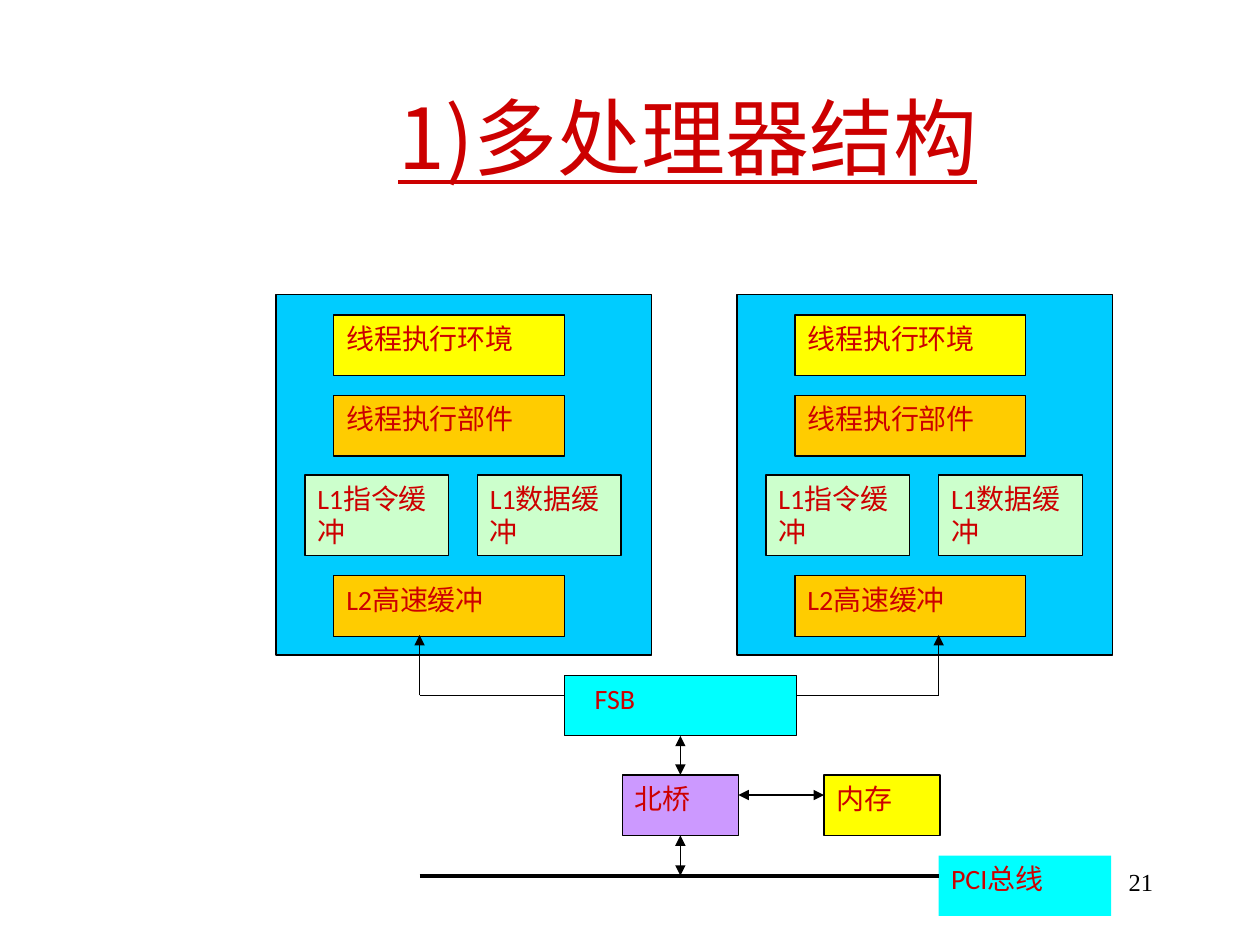
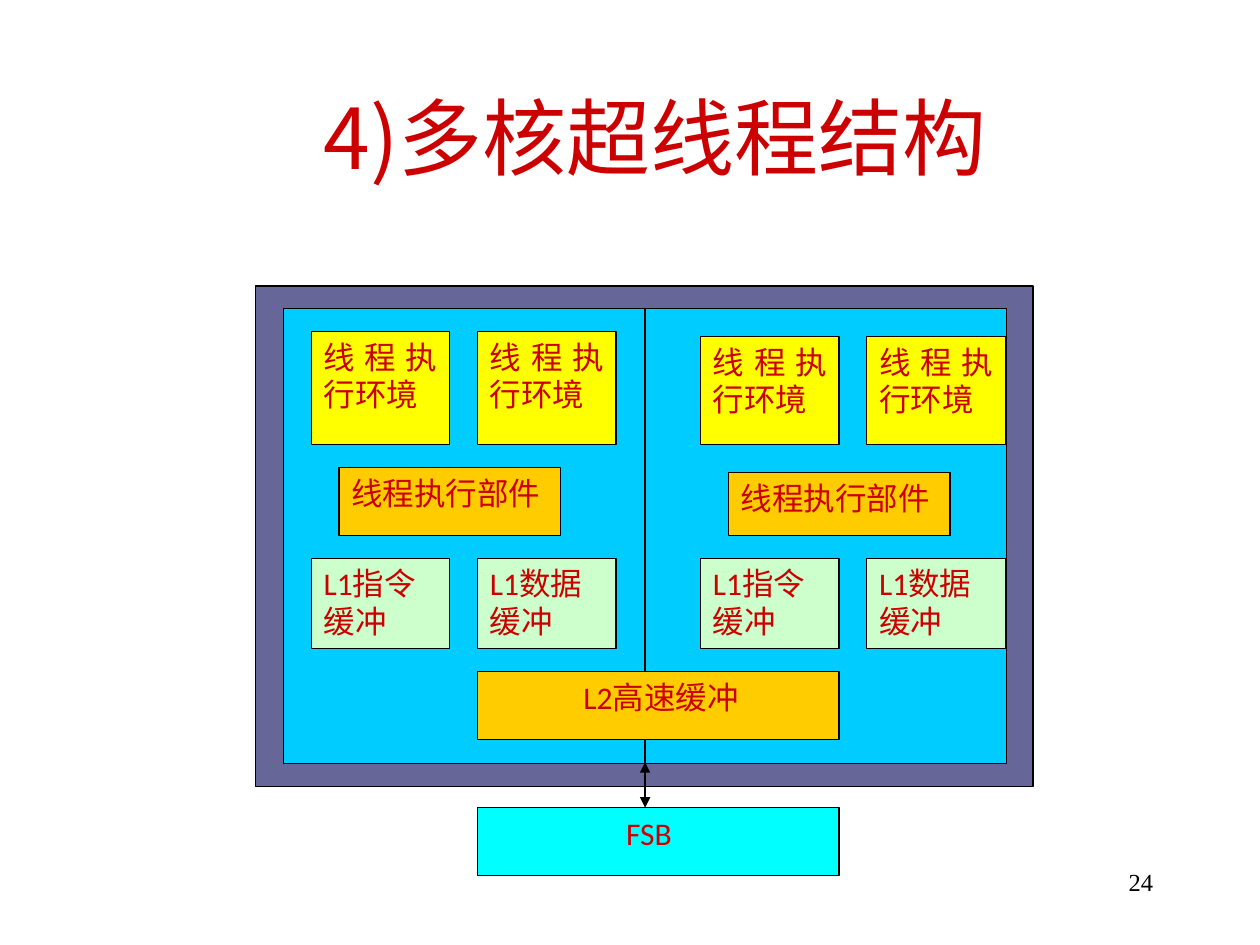
from lxml import etree
from pptx import Presentation
from pptx.dml.color import RGBColor
from pptx.enum import shapes, text
from pptx.oxml.ns import qn
from pptx.util import Inches, Pt

HUE = {"red": "CC0000", "black": "000000", "sky": "00CCFF", "yellow": "FFFF00",
       "gold": "FFCC00", "mint": "CCFFCC", "aqua": "00FFFF", "lilac": "CC99FF",
       "slate": "666699"}
HAN = "Noto Sans CJK JP"
ALIGN = text.PP_ALIGN


def write(shape, words, size, align, font="Calibri", ink="red", pad=0.0):
    """Fill a shape with one top-anchored paragraph; pad shifts it right."""
    frame = shape.text_frame
    frame.word_wrap = True
    frame.auto_size = text.MSO_AUTO_SIZE.NONE
    frame.vertical_anchor = text.MSO_ANCHOR.TOP
    frame.margin_left = Inches(0.1 + pad)
    frame.text = words
    para = frame.paragraphs[0]
    para.alignment = align
    run = para.runs[0]
    run.font.size = Pt(size)
    run.font.name = font
    run.font.color.rgb = RGBColor.from_string(HUE[ink])
    etree.SubElement(run.font._element, qn("a:ea"), typeface=HAN)
    return run


def box(slide, at, fill, words="", size=16, align=ALIGN.JUSTIFY, pad=0.0, edge=True):
    shape = slide.shapes.add_shape(shapes.MSO_SHAPE.RECTANGLE, *map(Inches, at))
    shape.shadow.inherit = False
    shape.fill.solid()
    shape.fill.fore_color.rgb = RGBColor.from_string(HUE[fill])
    if edge:
        shape.line.color.rgb = RGBColor.from_string(HUE["black"])
        shape.line.width = Pt(0.75)
    else:
        shape.line.fill.background()
    if words:
        write(shape, words, size, align, pad=pad)
    return shape


deck = Presentation()
deck.slide_width, deck.slide_height = Inches(10), Inches(7.5)

# Titles and page numbers
pages = []
for name, page, left, width, under in [
    ("1)多处理器结构", "21", 2.97, 4.98, True),
    ("4)多核超线程结构", "24", 1.41, 7.58, None),
]:
    slide = deck.slides.add_slide(deck.slide_layouts[5])
    title = slide.shapes.title
    title.left, title.top = Inches(left), Inches(0.63)
    title.width, title.height = Inches(width), Inches(1.5)
    write(title, name, 48, ALIGN.CENTER, HAN).font.underline = under
    note = slide.shapes.add_textbox(*map(Inches, (7.17, 6.83, 2.08, 0.5)))
    write(note, page, 14, ALIGN.RIGHT, "Times New Roman", "black")
    pages.append(slide)
multi, hyper = pages

# Two processors on one bus
for x in (2.19, 5.85):
    box(multi, (x, 2.34, 2.98, 2.86), "sky")
    for y, fill, words in [(2.5, "yellow", "线程执行环境"),
                           (3.14, "gold", "线程执行部件"),
                           (4.57, "gold", "L2高速缓冲")]:
        box(multi, (x + 0.46, y, 1.83, 0.48), fill, words)
    for step, words in [(0.23, "L1指令缓冲"), (1.6, "L1数据缓冲")]:
        box(multi, (x + step, 3.77, 1.14, 0.64), "mint", words, align=ALIGN.LEFT)
bus = box(multi, (4.48, 5.36, 1.84, 0.48), "aqua", "FSB", pad=0.14)
bridge = box(multi, (4.94, 6.15, 0.92, 0.48), "lilac", "北桥")
box(multi, (6.54, 6.15, 0.92, 0.48), "yellow", "内存")
box(multi, (7.45, 6.79, 1.37, 0.48), "aqua", "PCI总线", align=ALIGN.LEFT, edge=False)

# Two hyper-threaded cores in one package
box(hyper, (2.03, 2.27, 6.17, 3.97), "slate")
for x, first, drop in [(2.25, 0.22, 0), (5.12, 0.44, 0.04)]:
    box(hyper, (x, 2.45, 2.87, 3.61), "sky")
    left = x + first
    for step, cache in [(0, "L1指令缓冲"), (1.32, "L1数据缓冲")]:
        box(hyper, (left + step, 2.63 + drop, 1.1, 0.9 - drop), "yellow",
            "线程执行环境", 18)
        box(hyper, (left + step, 4.43, 1.1, 0.72), "mint", cache, 18, ALIGN.LEFT)
    box(hyper, (left + 0.22, 3.71 + drop, 1.76, 0.54 - drop), "gold",
        "线程执行部件", 18)
box(hyper, (3.79, 5.33, 2.87, 0.54), "gold", "L2高速缓冲", 18, pad=0.74)
box(hyper, (3.79, 6.41, 2.87, 0.54), "aqua", "FSB", 18, pad=1.08)

# Lines: slide, ends, arrowheads, weight, joined boxes at start and end
both = ("headEnd", "tailEnd")
tip = ("tailEnd",)
for slide, ends, heads, weight, start, stop in [
    (multi, (3.33, 5.52, 4.48, 5.52), (), 0.75, None, None),
    (multi, (6.32, 5.52, 7.45, 5.52), (), 0.75, None, None),
    (multi, (3.33, 5.52, 3.33, 5.04), tip, 0.75, None, None),
    (multi, (7.45, 5.52, 7.45, 5.04), tip, 0.75, None, None),
    (multi, (5.4, 5.84, 5.4, 6.15), both, 0.75, bus, bridge),
    (multi, (5.86, 6.31, 6.54, 6.31), both, 0.75, None, None),
    (multi, (5.4, 6.63, 5.4, 6.95), both, 0.75, bridge, None),
    (multi, (3.33, 6.95, 7.45, 6.95), (), 2.25, None, None),
    (hyper, (3.43, 6.14, 3.43, 6.14), tip, 0.75, None, None),
    (hyper, (5.12, 6.05, 5.12, 6.41), both, 0.75, None, None),
    (hyper, (6.73, 6.14, 6.73, 6.14), tip, 0.75, None, None),
]:
    wire = slide.shapes.add_connector(shapes.MSO_CONNECTOR.STRAIGHT, *map(Inches, ends))
    wire.line.color.rgb = RGBColor.from_string(HUE["black"])
    wire.line.width = Pt(weight)
    for head in heads:
        etree.SubElement(wire.line._get_or_add_ln(), qn("a:" + head), type="triangle")
    etree.SubElement(wire._element.spPr, qn("a:effectLst"))
    if start:
        wire.begin_connect(start, 2)
    if stop:
        wire.end_connect(stop, 0)

deck.save("out.pptx")
